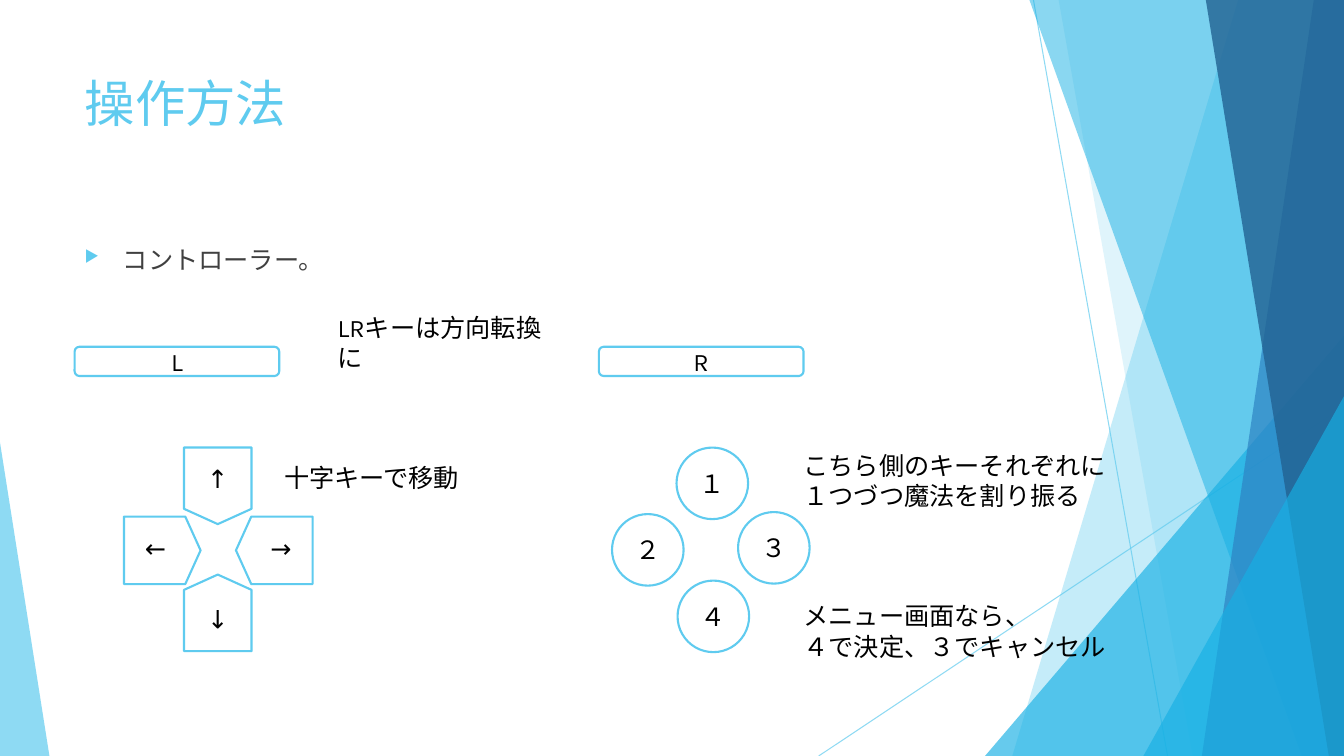
from lxml import etree
from pptx import Presentation
from pptx.dml.color import RGBColor
from pptx.enum.shapes import MSO_CONNECTOR, MSO_SHAPE
from pptx.enum.text import MSO_ANCHOR, PP_ALIGN
from pptx.oxml.ns import qn
from pptx.util import Inches, Pt

W, H = 13.33, 7.5
FONT = "Karla"
SKY = RGBColor(0x5F, 0xCB, 0xEF)
CYAN = RGBColor(0x17, 0xB0, 0xE4)
BLUE = RGBColor(0x2E, 0x83, 0xC3)
NAVY = RGBColor(0x22, 0x62, 0x92)
GREY = RGBColor(0x40, 0x40, 0x40)
BLACK = RGBColor(0, 0, 0)
WHITE = RGBColor(0xFF, 0xFF, 0xFF)
LEFT, CENTER = PP_ALIGN.LEFT, PP_ALIGN.CENTER
TOP, MIDDLE = MSO_ANCHOR.TOP, MSO_ANCHOR.MIDDLE
ARROW_KEY = MSO_SHAPE.FLOWCHART_OFFPAGE_CONNECTOR
BAR_KEY = MSO_SHAPE.ROUNDED_RECTANGLE
ROUND_KEY = MSO_SHAPE.OVAL
STRAIGHT = MSO_CONNECTOR.STRAIGHT

MARGIN = 0.74
TITLE = "操作方法"
BULLET = "コントローラー。"
RAYS = [(10.25, 0, 11.58, H), (W, 4.03, 8.12, H)]
FACETS = [
    ([(12.28, 0), (W, 0), (W, H), (10.04, H)], SKY, 36),
    ([(10.5, 0), (W, 0), (W, H), (11.83, H)], SKY, 20),
    ([(W, 3.33), (W, H), (9.77, H)], CYAN, 66),
    ([(10.21, 0), (W, 0), (W, H), (12.91, H)], CYAN, 50),
    ([(13.03, 0), (W, 0), (W, H), (11.92, H)], BLUE, 70),
    ([(11.96, 0), (W, 0), (W, H), (13.18, H)], NAVY, 80),
    ([(W, 3.93), (W, H), (11.34, H)], CYAN, 66),
    ([(0, 4.39), (0.49, H), (0, H)], SKY, 70),
]
PAD_CENTER = (2.16, 5.46)
PAD_REACH = [(0, -0.64), (0.56, 0), (0, 0.62), (-0.55, 0)]
PAD_KEY = (0.67, 0.76)
BARS = [("L", MARGIN), ("R", 5.94)]
BAR_TOP, BAR_SIZE = 3.44, (2.03, 0.29)
BUTTONS = [("１", 6.71, 4.44), ("２", 6.07, 5.1), ("３", 7.32, 5.08), ("４", 6.72, 5.76)]
BUTTON_SIZE = (0.71, 0.71)
NOTES = [
    (["十字キーで移動"], (2.72, 4.54, 1.97, 0.4)),
    (["LRキーは方向転換に"], (3.25, 3.05, 2.4, 0.7)),
    (["こちら側のキーそれぞれに", "１つづつ魔法を割り振る",
      "メニュー画面なら、", "４で決定、３でキャンセル"], (7.87, 4.42, 3.4, 2.22)),
]
MENU_LINE, MENU_GAP = 2, 64


def write(tf, lines, size=18, color=BLACK, align=LEFT, anchor=TOP):
    tf.word_wrap = True
    tf.vertical_anchor = anchor
    for i, line in enumerate(lines):
        p = tf.paragraphs[0] if i == 0 else tf.add_paragraph()
        p.alignment = align
        r = p.add_run()
        r.text = line
        r.font.name = FONT
        r.font.size = Pt(size)
        r.font.color.rgb = color


def add_textbox(s, lines, box, **fmt):
    tf = s.shapes.add_textbox(*map(Inches, box)).text_frame
    write(tf, lines, **fmt)
    return tf


def set_alpha(shape, percent):
    color = next(shape._element.spPr.iter(qn("a:srgbClr")))
    etree.SubElement(color, qn("a:alpha"), val=str(percent * 1000))


def add_ray(s, ends):
    line = s.shapes.add_connector(STRAIGHT, *map(Inches, ends))
    line.line.color.rgb = SKY
    line.line.width = Pt(0.75)
    set_alpha(line, 70)
    etree.SubElement(line._element.spPr, qn("a:effectLst"))


def add_facet(s, points, color, percent):
    corners = [(Inches(x), Inches(y)) for x, y in points]
    builder = s.shapes.build_freeform(*corners[0])
    builder.add_line_segments(corners[1:], close=True)
    sp = builder.convert_to_shape()
    sp.shadow.inherit = False
    sp.fill.solid()
    sp.fill.fore_color.rgb = color
    sp.line.fill.background()
    set_alpha(sp, percent)


def add_key(s, kind, text, left, top, size, rotation=0):
    sp = s.shapes.add_shape(kind, *map(Inches, (left, top, *size)))
    sp.rotation = rotation
    sp.shadow.inherit = False
    sp.fill.solid()
    sp.fill.fore_color.rgb = WHITE
    sp.line.color.rgb = SKY
    sp.line.width = Pt(1.5)
    write(sp.text_frame, [text], align=CENTER, anchor=MIDDLE)


def add_bullet(p, char, color):
    pPr = p._p.get_or_add_pPr()
    pPr.set("marL", str(Inches(0.38)))
    pPr.set("indent", str(-Inches(0.38)))
    bu_color = etree.SubElement(pPr, qn("a:buClr"))
    etree.SubElement(bu_color, qn("a:srgbClr"), val=str(color))
    etree.SubElement(pPr, qn("a:buSzPct"), val="65000")
    etree.SubElement(pPr, qn("a:buChar"), char=char)


def main():
    prs = Presentation()
    prs.slide_width, prs.slide_height = Inches(W), Inches(H)
    s = prs.slides.add_slide(prs.slide_layouts[5])

    for ends in RAYS:
        add_ray(s, ends)
    for facet in FACETS:
        add_facet(s, *facet)

    title = s.shapes.title
    title.left, title.top, title.width, title.height = map(Inches, (MARGIN, 0.67, 9.4, 1.44))
    write(title.text_frame, [TITLE], size=36, color=SKY)
    body = add_textbox(s, [BULLET], (MARGIN, 2.37, 9.4, 4.24), color=GREY)
    add_bullet(body.paragraphs[0], "▶", SKY)

    for i, (dx, dy) in enumerate(PAD_REACH):
        left = PAD_CENTER[0] + dx - PAD_KEY[0] / 2
        top = PAD_CENTER[1] + dy - PAD_KEY[1] / 2
        add_key(s, ARROW_KEY, "↑", left, top, PAD_KEY, rotation=90 * i)
    for text, left in BARS:
        add_key(s, BAR_KEY, text, left, BAR_TOP, BAR_SIZE)
    for text, left, top in BUTTONS:
        add_key(s, ROUND_KEY, text, left, top, BUTTON_SIZE)

    for lines, box in NOTES:
        tf = add_textbox(s, lines, box)
        if len(lines) > MENU_LINE:
            tf.paragraphs[MENU_LINE].space_before = Pt(MENU_GAP)
    prs.save("out.pptx")


if __name__ == "__main__":
    main()
